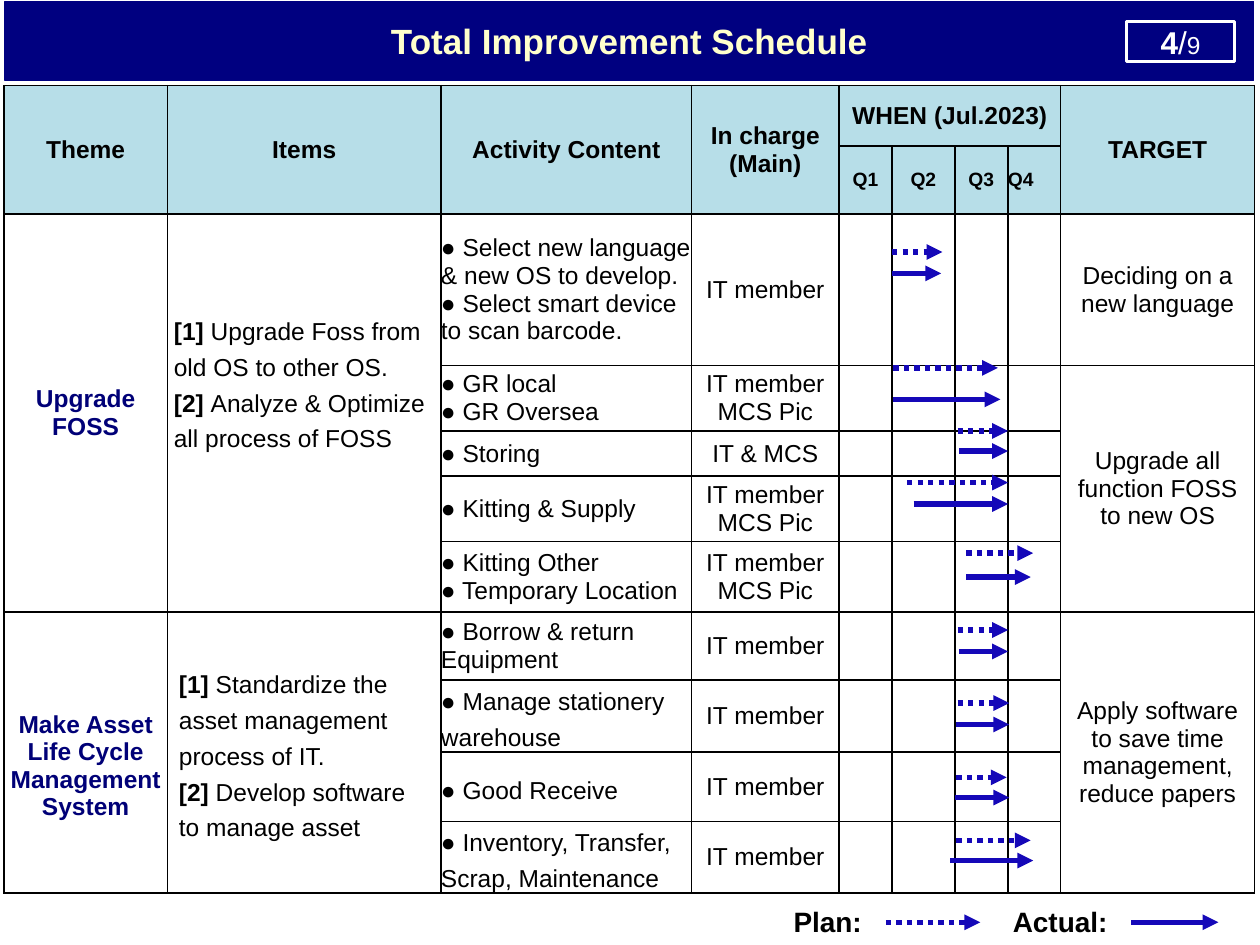
from lxml.etree import SubElement
from pptx import Presentation
from pptx.dml.color import RGBColor
from pptx.enum.dml import MSO_LINE
from pptx.enum.shapes import MSO_CONNECTOR, MSO_SHAPE
from pptx.enum.text import MSO_ANCHOR, PP_ALIGN
from pptx.oxml.ns import qn
from pptx.util import Inches, Pt

rgb = RGBColor.from_string
NAVY, HEAD, ARROW = "000080", "B7DEE8", "1508B8"
LEFT, CENTER = PP_ALIGN.LEFT, PP_ALIGN.CENTER

prs = Presentation()
prs.slide_width, prs.slide_height = Inches(10), Inches(7.5)
s = prs.slides.add_slide(prs.slide_layouts[6])


def share(percent):
    """Length as a percentage of the slide's width."""
    return round(prs.slide_width * percent / 100)


def write(tf, text, size=14, color="000000", bold=False, align=CENTER, spacing=None):
    """One paragraph per line; the part before a | is bold."""
    for i, line in enumerate(text.split("\n")):
        p = tf.add_paragraph() if i else tf.paragraphs[0]
        p.alignment = align
        if spacing:
            p.line_spacing = spacing
        p.font.name, p.font.size, p.font.bold = "Arial", Pt(size), bold
        p.font.color.rgb = rgb(color)
        lead, bar, rest = line.partition("|")
        if bar:
            r = p.add_run()
            r.text, r.font.bold = lead, True
        p.add_run().text = rest if bar else lead


# Title band and page badge
for x, y, w, h, line, weight, text, size, color, bold in [
    (0.4, 0.1, 99.1, 6.3, NAVY, 0.75, "Total Improvement Schedule", 20, "FFFFCC", True),
    (89.4, 1.7, 8.6, 3.2, "FFFFFF", 2, "4|/", 18, "FFFFFF", False),
]:
    sp = s.shapes.add_shape(MSO_SHAPE.RECTANGLE, share(x), share(y), share(w), share(h))
    sp.shadow.inherit = False
    sp.fill.solid()
    sp.fill.fore_color.rgb = rgb(NAVY)
    sp.line.color.rgb = rgb(line)
    sp.line.width = Pt(weight)
    sp.text_frame.vertical_anchor = MSO_ANCHOR.MIDDLE
    write(sp.text_frame, text, size, color, bold)
r = sp.text_frame.paragraphs[0].add_run()
r.text, r.font.size = "9", Pt(14)

# Schedule table
cols = [13, 21.7, 19.9, 11.7, 4.2, 5, 4.2, 4.2, 15.4]
rows = [4.8, 5.4, 12, 5.2, 3.6, 5.2, 5.6, 5.4, 5.7, 5.5, 5.7]
table = s.shapes.add_table(len(rows), len(cols), share(0.3), share(6.8),
                           share(sum(cols)), share(sum(rows))).table
table.first_row = table.horz_banding = False
for column, w in zip(table.columns, cols):
    column.width = share(w)
for row, h in zip(table.rows, rows):
    row.height = share(h)

for i in range(len(rows)):
    for j in range(len(cols)):
        cell = table.cell(i, j)
        cell.margin_left = cell.margin_right = cell.margin_top = cell.margin_bottom = 0
        cell.vertical_anchor = MSO_ANCHOR.MIDDLE
        tcPr = cell._tc.get_or_add_tcPr()
        for side in ("a:lnL", "a:lnR", "a:lnT", "a:lnB"):
            ln = SubElement(tcPr, qn(side), w=str(Pt(1)))
            SubElement(SubElement(ln, qn("a:solidFill")), qn("a:srgbClr"), val="000000")
        cell.fill.solid()
        cell.fill.fore_color.rgb = rgb(HEAD if i < 2 else "FFFFFF")

for top, left, bottom, right in [
    (0, 0, 1, 0), (0, 1, 1, 1), (0, 2, 1, 2), (0, 3, 1, 3), (0, 4, 0, 7), (0, 8, 1, 8),
    (2, 0, 6, 0), (2, 1, 6, 1), (3, 8, 6, 8), (7, 0, 10, 0), (7, 1, 10, 1), (7, 8, 10, 8),
]:
    table.cell(top, left).merge(table.cell(bottom, right))

headings = {0: "Theme", 1: "Items", 2: "Activity Content", 3: "In charge (Main)",
            4: "WHEN (Jul.2023)", 8: "TARGET"}
for j, text in headings.items():
    cell = table.cell(0, j)
    cell.margin_left = cell.margin_right = share(1)
    write(cell.text_frame, text, bold=True)
for j, quarter in enumerate(["Q1", "Q2", "Q3", "Q4"], 4):
    write(table.cell(1, j).text_frame, quarter, 11, bold=True,
          align=LEFT if quarter == "Q4" else CENTER)

themes = {2: "Upgrade FOSS", 7: "Make Asset Life Cycle Management System"}
for i, text in themes.items():
    write(table.cell(i, 0).text_frame, text, color="000077", bold=True)
table.cell(7, 0).margin_top = share(2.1)

items = {
    2: (0.5, "[1] |Upgrade Foss from old OS to other OS.\n"
             "[2] |Analyze & Optimize all process of FOSS"),
    7: (0.9, "[1]| Standardize the asset management process of IT.\n"
             "[2] |Develop software to manage asset"),
}
for i, (margin, text) in items.items():
    cell = table.cell(i, 1)
    cell.margin_left = cell.margin_right = share(margin)
    write(cell.text_frame, text, align=LEFT, spacing=1.3)
table.cell(2, 1).margin_bottom = share(5)

activities = [
    ("● Select new language & new OS to develop.\n● Select smart device to scan barcode.",
     "IT member"),
    ("● GR local\n● GR Oversea", "IT member MCS Pic"),
    ("● Storing", "IT & MCS"),
    ("● Kitting & Supply", "IT member MCS Pic"),
    ("● Kitting Other\n● Temporary Location", "IT member MCS Pic"),
    ("● Borrow & return Equipment", "IT member"),
    ("● Manage stationery warehouse", "IT member"),
    ("● Good Receive", "IT member"),
    ("● Inventory, Transfer, Scrap, Maintenance", "IT member"),
]
for i, (activity, member) in enumerate(activities, 2):
    write(table.cell(i, 2).text_frame, activity, align=LEFT, spacing=1.3 if i > 7 else None)
    cell = table.cell(i, 3)
    cell.margin_left = cell.margin_right = share(0.9)
    write(cell.text_frame, member)

targets = {2: "Deciding on a new language", 3: "Upgrade all function FOSS to new OS",
           7: "Apply software to save time management, reduce papers"}
for i, text in targets.items():
    cell = table.cell(i, 8)
    cell.margin_left = cell.margin_right = share(0.5)
    write(cell.text_frame, text)

# Legend labels
for x, w, text in [(62, 8.3, "Plan:"), (79.4, 10.4, "Actual:")]:
    tf = s.shapes.add_textbox(share(x), share(71.3), share(w), share(3.7)).text_frame
    tf.word_wrap = True
    write(tf, text, 16, bold=True, align=LEFT)

# Plan (dotted) and actual (solid) arrows: start, end, height; the last pair is the legend
arrows = [
    ((70.8, 74.8, 20), (70.8, 74.7, 21.7)),
    ((70.9, 79.2, 29.2), (70.9, 79.4, 31.7)),
    ((76, 80, 34.2), (76.1, 80, 35.8)),
    ((72, 80, 38.3), (72.5, 80, 40)),
    ((76.7, 82, 43.9), (76.7, 81.8, 45.8)),
    ((76, 80, 50), (76.1, 80, 51.7)),
    ((76, 80.1, 55.8), (75.9, 80.1, 57.5)),
    ((75.9, 79.9, 61.7), (75.8, 80.1, 63.3)),
    ((75.9, 81.8, 66.7), (75.4, 82, 68.3)),
    ((70.3, 77.8, 73.2), (89.8, 96.7, 73.2)),
]
for pair in arrows:
    for (start, end, y), dash in zip(pair, (MSO_LINE.ROUND_DOT, None)):
        arrow = s.shapes.add_connector(MSO_CONNECTOR.STRAIGHT, share(start), share(y),
                                       share(end), share(y))
        arrow.line.color.rgb = rgb(ARROW)
        arrow.line.width = Pt(3)
        if dash:
            arrow.line.dash_style = dash
        SubElement(arrow.line._get_or_add_ln(), qn("a:tailEnd"), type="triangle")
        SubElement(arrow._element.spPr, qn("a:effectLst"))

prs.save("out.pptx")
